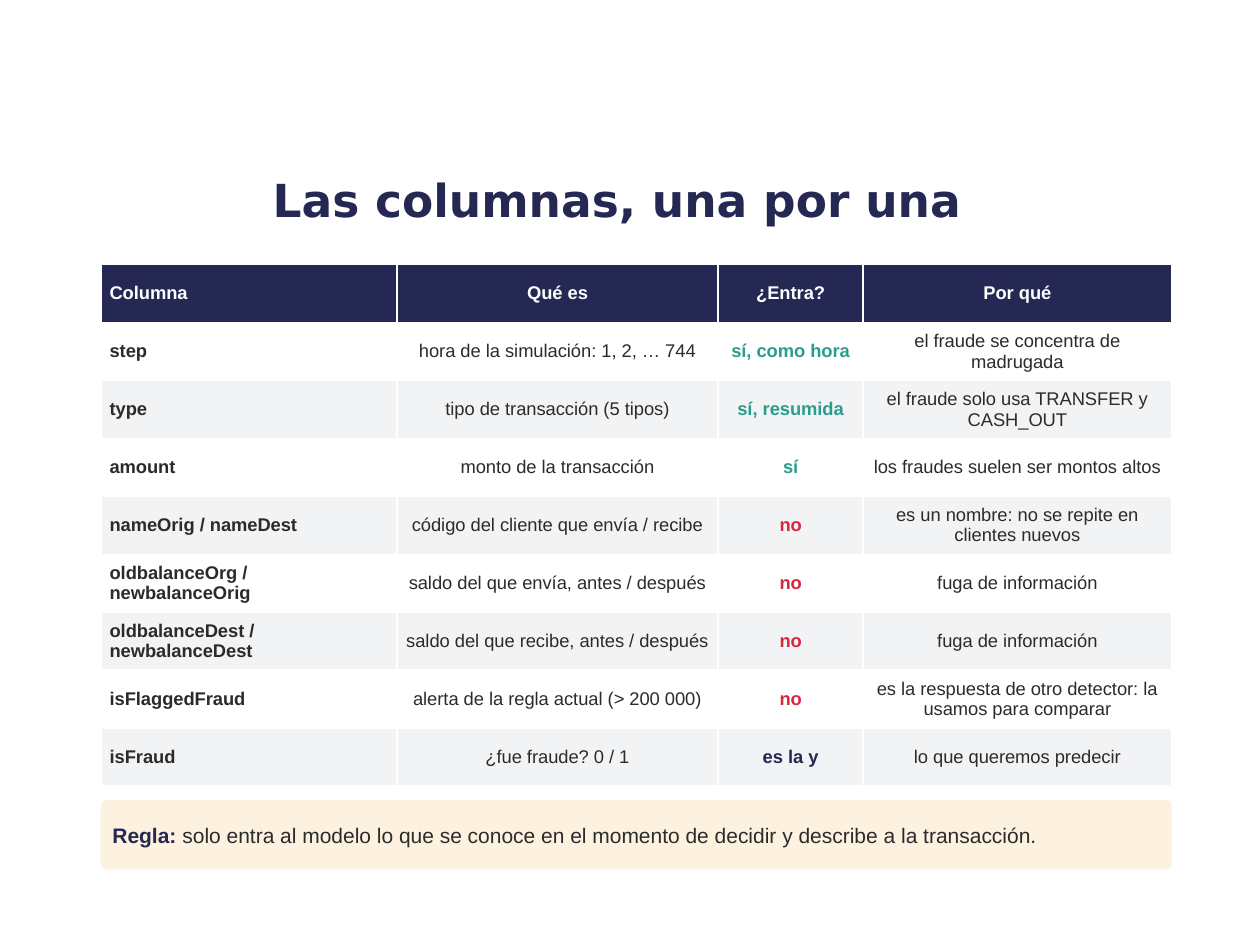
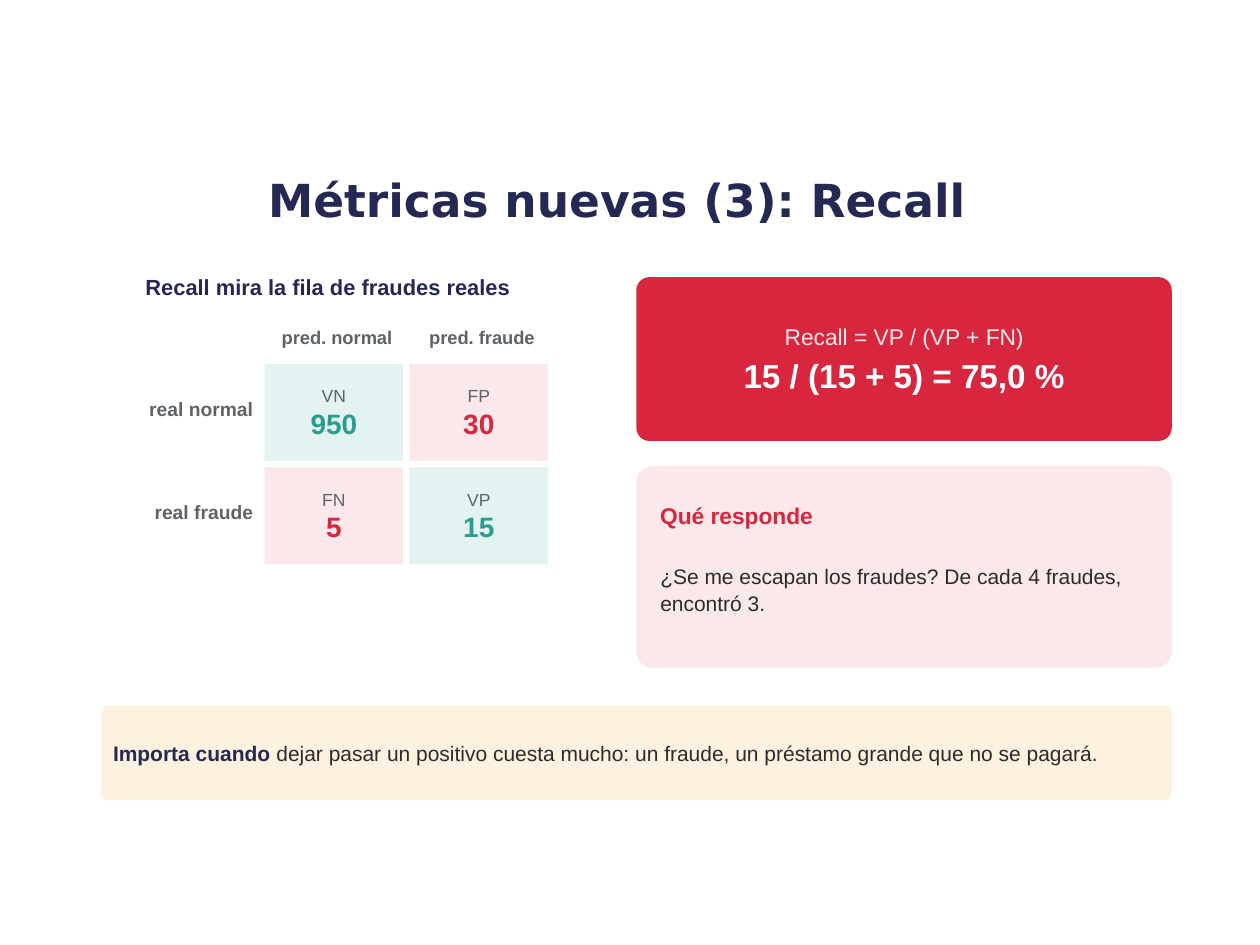
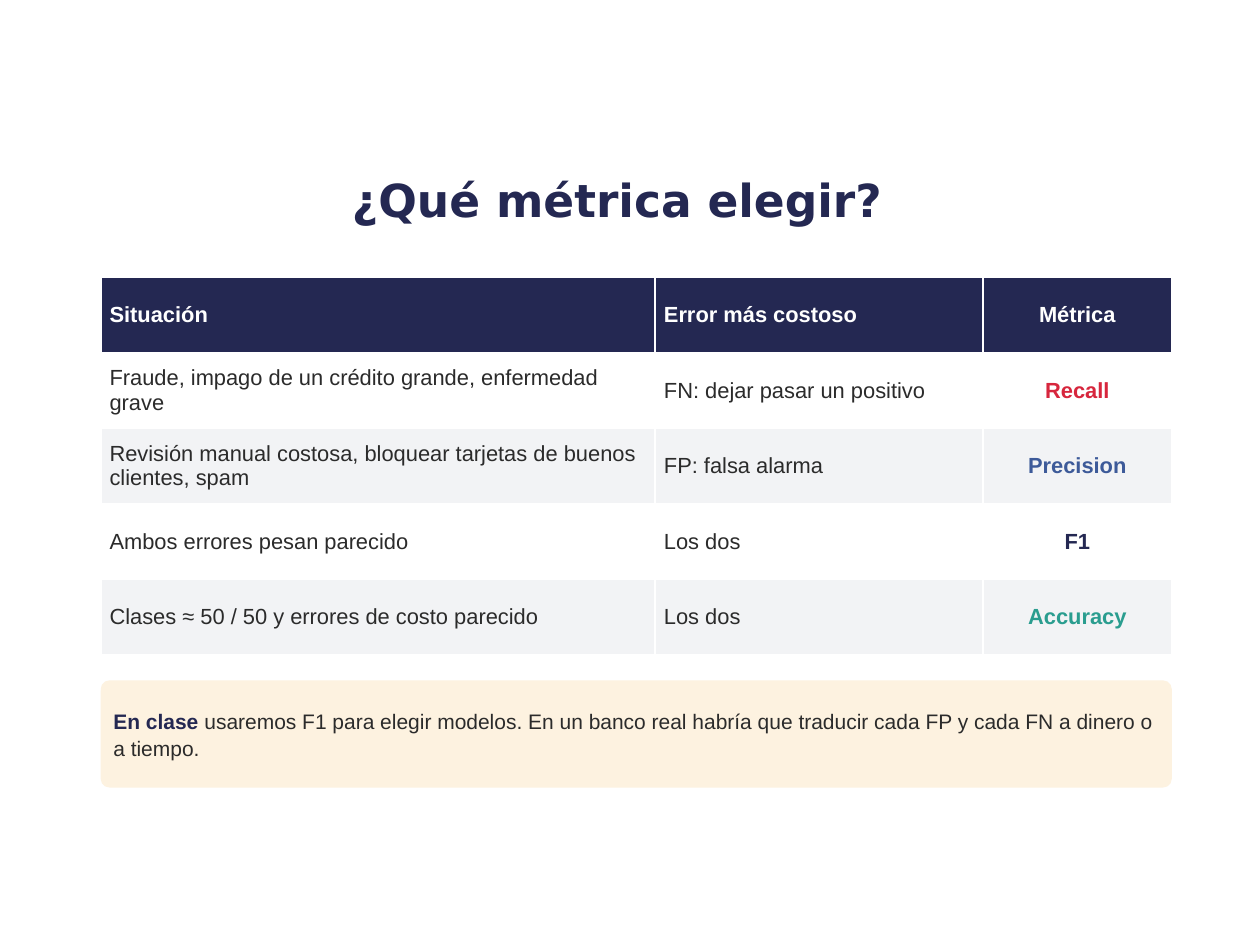
from pptx import Presentation
from pptx.dml.color import RGBColor
from pptx.enum import shapes, text
from pptx.util import Pt

NAVY = RGBColor(0x24, 0x28, 0x52)
INK = RGBColor(0x2B, 0x2B, 0x2B)
GRAY = RGBColor(0x5F, 0x63, 0x68)
TEAL = RGBColor(0x2A, 0x9D, 0x8F)
RED = RGBColor(0xD7, 0x26, 0x3D)
BLUE = RGBColor(0x3D, 0x5A, 0x99)
WHITE = RGBColor(0xFF, 0xFF, 0xFF)
STRIPE = RGBColor(0xF2, 0xF3, 0xF5)
MINT = RGBColor(0xE3, 0xF3, 0xF1)
ROSE = RGBColor(0xFB, 0xE8, 0xEA)
CREAM = RGBColor(0xFD, 0xF2, 0xE0)

SANS, HEAD = "Arial", "DejaVu Sans"
LEFT, WIDTH = 57.6, 612
ALIGN = {"l": text.PP_ALIGN.LEFT, "c": text.PP_ALIGN.CENTER, "r": text.PP_ALIGN.RIGHT}
MIDDLE, TOP = text.MSO_ANCHOR.MIDDLE, text.MSO_ANCHOR.TOP
RECT, ROUND = shapes.MSO_SHAPE.RECTANGLE, shapes.MSO_SHAPE.ROUNDED_RECTANGLE

FIELDS = [
    ("Columna", "Qué es", "¿Entra?", "Por qué"),
    ("step", "hora de la simulación: 1, 2, … 744", "sí, como hora",
     "el fraude se concentra de madrugada"),
    ("type", "tipo de transacción (5 tipos)", "sí, resumida",
     "el fraude solo usa TRANSFER y CASH_OUT"),
    ("amount", "monto de la transacción", "sí", "los fraudes suelen ser montos altos"),
    ("nameOrig / nameDest", "código del cliente que envía / recibe", "no",
     "es un nombre: no se repite en clientes nuevos"),
    ("oldbalanceOrg / newbalanceOrig", "saldo del que envía, antes / después", "no",
     "fuga de información"),
    ("oldbalanceDest / newbalanceDest", "saldo del que recibe, antes / después", "no",
     "fuga de información"),
    ("isFlaggedFraud", "alerta de la regla actual (> 200 000)", "no",
     "es la respuesta de otro detector: la usamos para comparar"),
    ("isFraud", "¿fue fraude? 0 / 1", "es la y", "lo que queremos predecir"),
]
CASES = [
    ("Situación", "Error más costoso", "Métrica"),
    ("Fraude, impago de un crédito grande, enfermedad grave",
     "FN: dejar pasar un positivo", "Recall"),
    ("Revisión manual costosa, bloquear tarjetas de buenos clientes, spam",
     "FP: falsa alarma", "Precision"),
    ("Ambos errores pesan parecido", "Los dos", "F1"),
    ("Clases ≈ 50 / 50 y errores de costo parecido", "Los dos", "Accuracy"),
]
HUES = {"sí, como hora": TEAL, "sí, resumida": TEAL, "sí": TEAL, "no": RED, "es la y": NAVY,
        "Recall": RED, "Precision": BLUE, "F1": NAVY, "Accuracy": TEAL}


def style(par, size, color, bold=False, align="l", font=SANS):
    par.alignment = ALIGN[align]
    par.font.name, par.font.size = font, Pt(size)
    par.font.bold, par.font.color.rgb = bold, color


def setup(frame, inset, anchor):
    frame.word_wrap = True
    frame.vertical_anchor = anchor
    frame.margin_left = frame.margin_right = Pt(inset)
    frame.margin_top = frame.margin_bottom = Pt(inset)


def label(slide, box, words, size, color, bold=True, align="l", anchor=TOP, font=SANS):
    frame = slide.shapes.add_textbox(*map(Pt, box)).text_frame
    setup(frame, 2.88, anchor)
    par = frame.paragraphs[0]
    par.text = words
    style(par, size, color, bold, align, font)
    return par


def panel(slide, kind, box, fill, inset=5.76):
    """Add a filled shape without outline and return its text frame."""
    shape = slide.shapes.add_shape(kind, *map(Pt, box))
    shape.shadow.inherit = False
    shape.fill.solid()
    shape.fill.fore_color.rgb = fill
    shape.line.fill.background()
    if kind == ROUND:
        shape.adjustments[0] = 0.08
    setup(shape.text_frame, inset, MIDDLE)
    return shape.text_frame


def stack(frame, lines, after=0):
    """Write centred lines, each (words, size, color, bold)."""
    for i, (words, *look) in enumerate(lines):
        par = frame.add_paragraph() if i else frame.paragraphs[0]
        par.text = words
        par.space_after = Pt(after)
        style(par, *look, align="c")


def band(slide, top, high, lead, rest):
    """Add the cream note with a bold lead-in."""
    par = panel(slide, ROUND, (LEFT, top, WIDTH, high), CREAM).paragraphs[0]
    par.space_after, par.line_spacing = Pt(3), 1.05
    style(par, 12, INK)
    for words, color, bold in ((lead, NAVY, True), (rest, INK, False)):
        run = par.add_run()
        run.text = words
        run.font.color.rgb, run.font.bold = color, bold


def grid(slide, top, high, widths, rows, size, aligns, keys=()):
    """Add a striped table; the columns in keys are bold."""
    table = slide.shapes.add_table(len(rows), len(widths), Pt(LEFT), Pt(top), Pt(WIDTH),
                                   Pt(high * len(rows))).table
    for col, wide in zip(table.columns, widths):
        col.width = Pt(wide)
    for r, row in enumerate(rows):
        table.rows[r].height = Pt(high)
        for c, words in enumerate(row):
            cell = table.cell(r, c)
            cell.fill.solid()
            cell.fill.fore_color.rgb = STRIPE if r % 2 == 0 else WHITE
            color = HUES.get(words, INK)
            if r == 0:
                cell.fill.fore_color.rgb, color = NAVY, WHITE
            cell.vertical_anchor = MIDDLE
            cell.margin_left = cell.margin_right = Pt(5.04)
            cell.margin_top = cell.margin_bottom = Pt(2.16)
            par = cell.text_frame.paragraphs[0]
            par.text = words
            style(par, size, color, r == 0 or c in keys, aligns[c])


def matrix(slide):
    """Draw the confusion matrix with its row and column headings."""
    left, top, wide, high, dx, dy = 151.2, 208.1, 79.2, 55.4, 82.8, 59
    counts = [[("VN", "950"), ("FP", "30")], [("FN", "5"), ("VP", "15")]]
    for c, name in enumerate(("pred. normal", "pred. fraude")):
        label(slide, (left + c * dx, 183.6, dx, 23), name, 10.5, GRAY, align="c")
    for r, name in enumerate(("real normal", "real fraude")):
        y = top + r * dy
        label(slide, (LEFT, y + 15.8, 90, 28.8), name, 11, GRAY, align="r")
        for c, (code, count) in enumerate(counts[r]):
            fill, color = (MINT, TEAL) if r == c else (ROSE, RED)
            frame = panel(slide, RECT, (left + c * dx, y, wide, high), fill, 1.44)
            stack(frame, [(code, 10, GRAY, False), (count, 16, color, True)])


def start(deck, title):
    slide = deck.slides.add_slide(deck.slide_layouts[6])
    label(slide, (54, 85, 597.6, 57.6), title, 26, NAVY, align="c", anchor=MIDDLE, font=HEAD)
    return slide


def fields(deck):
    slide = start(deck, "Las columnas, una por una")
    grid(slide, 151.2, 33.12, (169.2, 183.6, 82.8, 176.4), FIELDS, 10.5, "lccc", (0, 2))
    band(slide, 457.2, 39.6, "Regla: ",
         "solo entra al modelo lo que se conoce en el momento de decidir "
         "y describe a la transacción.")


def recall(deck):
    slide = start(deck, "Métricas nuevas (3): Recall")
    label(slide, (LEFT, 153.4, 259.2, 27.4), "Recall mira la fila de fraudes reales",
          12.5, NAVY, align="c")
    matrix(slide)
    frame = panel(slide, ROUND, (363.6, 158.4, 306, 93.6), RED)
    stack(frame, [("Recall = VP / (VP + FN)", 13, ROSE, False),
                  ("15 / (15 + 5) = 75,0 %", 19, WHITE, True)], 3)
    panel(slide, ROUND, (363.6, 266.4, 306, 115.2), ROSE)
    label(slide, (374.4, 275, 288, 39.6), "Qué responde", 13, RED, anchor=MIDDLE)
    par = label(slide, (374.4, 318.2, 284.4, 57.6),
                "¿Se me escapan los fraudes? De cada 4 fraudes, encontró 3.", 12, INK, False)
    par.line_spacing = 1.08
    band(slide, 403.2, 54, "Importa cuando ",
         "dejar pasar un positivo cuesta mucho: un fraude, un préstamo grande "
         "que no se pagará.")


def choice(deck):
    slide = start(deck, "¿Qué métrica elegir?")
    grid(slide, 158.4, 43.2, (316.8, 187.2, 108), CASES, 12.5, "llc", (2,))
    band(slide, 388.8, 61.2, "En clase ",
         "usaremos F1 para elegir modelos. En un banco real habría que traducir "
         "cada FP y cada FN a dinero o a tiempo.")


def main():
    deck = Presentation()
    deck.slide_width, deck.slide_height = Pt(720), Pt(540)
    fields(deck)
    recall(deck)
    choice(deck)
    deck.save("out.pptx")


if __name__ == "__main__":
    main()
